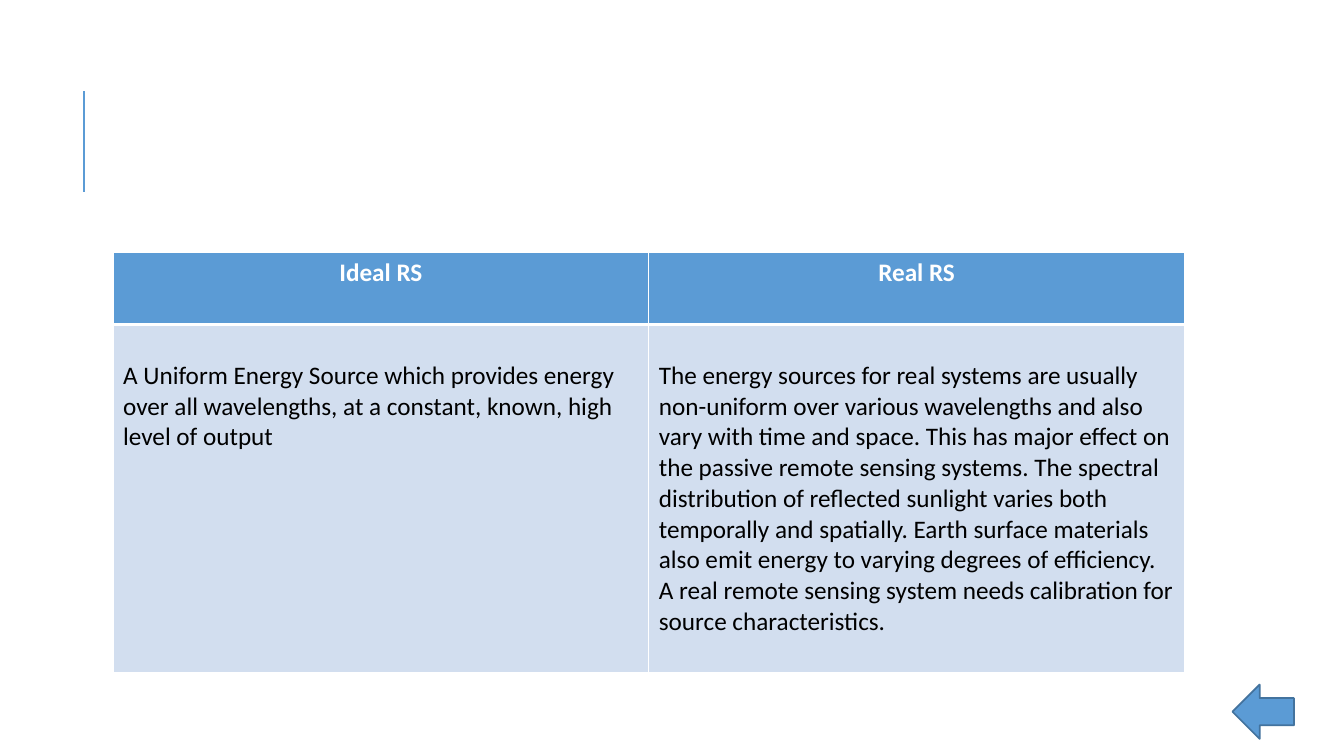
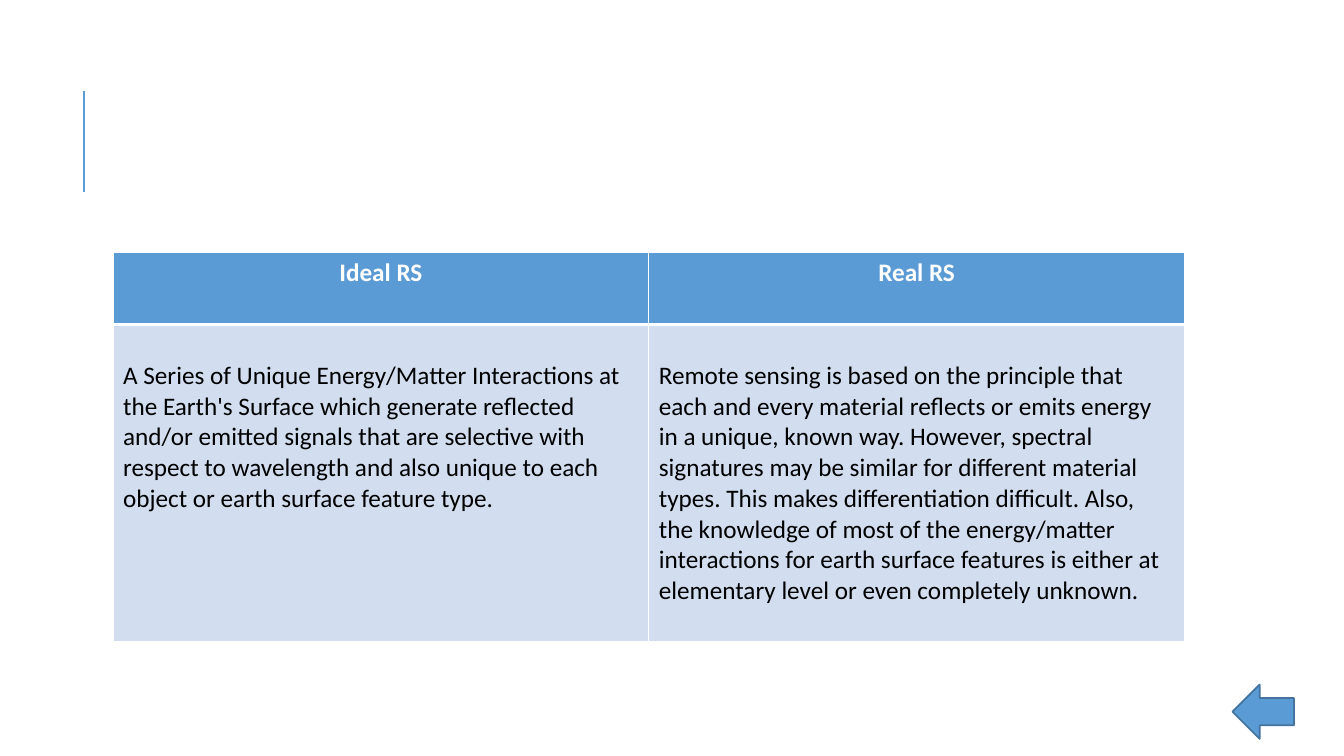
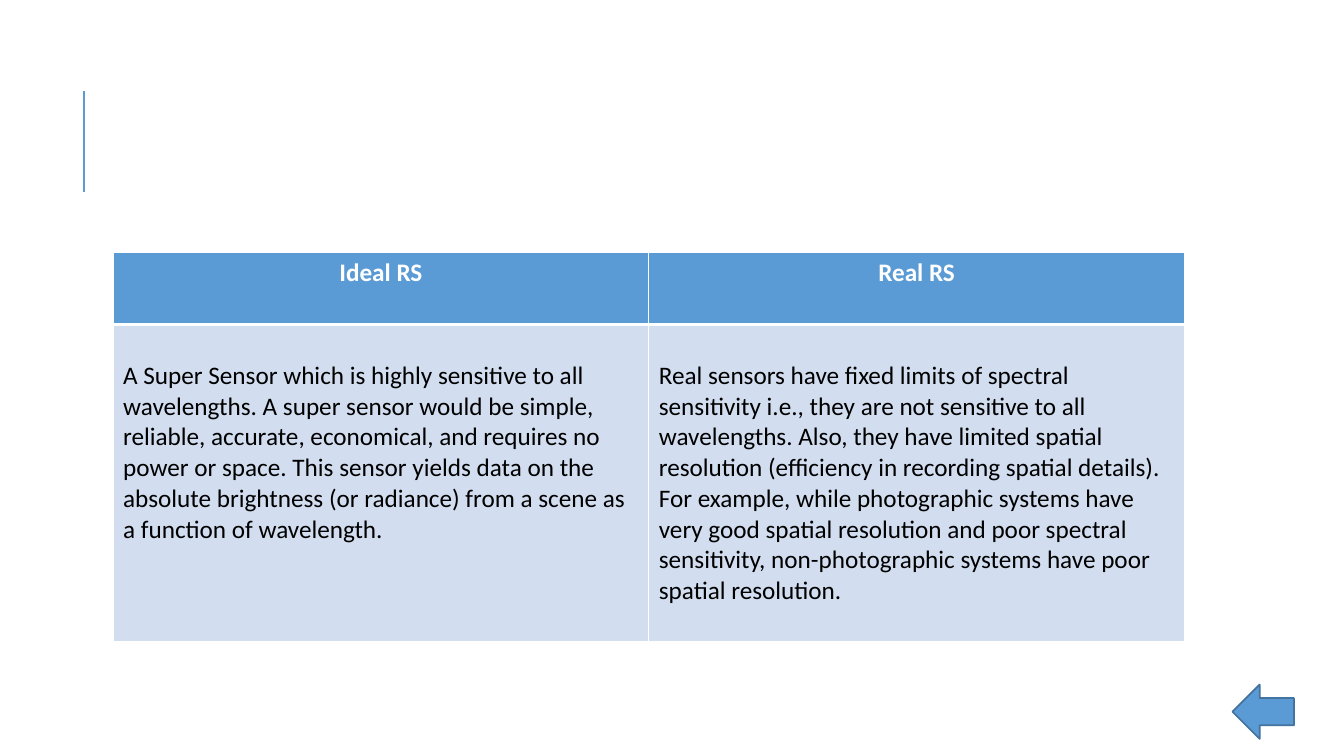
"""Build three slides comparing ideal and real remote sensing systems."""
from lxml.etree import SubElement
from pptx import Presentation
from pptx.dml.color import RGBColor
from pptx.enum.shapes import MSO_CONNECTOR, MSO_SHAPE
from pptx.enum.text import PP_ALIGN
from pptx.oxml.ns import qn
from pptx.util import Cm, Pt

COLORS = {
    "accent": "5B9BD5",
    "outline": "43739E",
    "band": "D2DEEF",
    "white": "FFFFFF",
    "black": "000000",
}
HEADINGS = ("Ideal RS", "Real RS")
COLUMN_WIDTH = Cm(13.5)
HEADER_HEIGHT = Cm(1.83)
ROW_STYLES = (
    {
        "fill": "accent",
        "align": PP_ALIGN.CENTER,
        "margin_top": Cm(0.13),
        "font": {"name": "Calibri", "size": Pt(18), "bold": True},
        "color": "white",
        "borders": {"a:lnL": 1, "a:lnR": 1, "a:lnT": 1, "a:lnB": 3},
    },
    {
        "fill": "band",
        "align": PP_ALIGN.LEFT,
        "margin_top": Cm(0.9),
        "font": {"name": "Calibri", "size": Pt(18), "bold": False},
        "color": "black",
        "borders": {"a:lnL": 1, "a:lnR": 1, "a:lnT": 3, "a:lnB": 1},
    },
)
COMPARISONS = (
    (
        Cm(8.76),
        "A Uniform Energy Source which provides energy over all wavelengths, "
        "at a constant, known, high level of output",
        "The energy sources for real systems are usually non-uniform over "
        "various wavelengths and also vary with time and space. This has major "
        "effect on the passive remote sensing systems. The spectral "
        "distribution of reflected sunlight varies both temporally and "
        "spatially. Earth surface materials also emit energy to varying "
        "degrees of efficiency. A real remote sensing system needs calibration "
        "for source characteristics.",
    ),
    (
        Cm(7.98),
        "A Series of Unique Energy/Matter Interactions at the Earth's Surface "
        "which generate reflected and/or emitted signals that are selective "
        "with respect to wavelength and also unique to each object or earth "
        "surface feature type.",
        "Remote sensing is based on the principle that each and every material "
        "reflects or emits energy in a unique, known way. However, spectral "
        "signatures may be similar for different material types. This makes "
        "differentiation difficult. Also, the knowledge of most of the "
        "energy/matter interactions for earth surface features is either at "
        "elementary level or even completely unknown.",
    ),
    (
        Cm(7.98),
        "A Super Sensor which is highly sensitive to all wavelengths. A super "
        "sensor would be simple, reliable, accurate, economical, and requires "
        "no power or space. This sensor yields data on the absolute brightness "
        "(or radiance) from a scene as a function of wavelength.",
        "Real sensors have fixed limits of spectral sensitivity i.e., they are "
        "not sensitive to all wavelengths. Also, they have limited spatial "
        "resolution (efficiency in recording spatial details). For example, "
        "while photographic systems have very good spatial resolution and poor "
        "spectral sensitivity, non-photographic systems have poor spatial "
        "resolution.",
    ),
)


def rgb(name):
    return RGBColor.from_string(COLORS[name])


def format_cell(cell, text, style):
    properties = cell._tc.get_or_add_tcPr()
    for tag, width in style["borders"].items():
        border = SubElement(properties, qn(tag), w=str(Pt(width)))
        border_fill = SubElement(border, qn("a:solidFill"))
        SubElement(border_fill, qn("a:srgbClr"), val=COLORS["white"])
    cell.fill.solid()
    cell.fill.fore_color.rgb = rgb(style["fill"])
    cell.margin_top = style["margin_top"]
    cell.text = text
    paragraph = cell.text_frame.paragraphs[0]
    paragraph.alignment = style["align"]
    font = paragraph.runs[0].font
    for attribute, value in style["font"].items():
        setattr(font, attribute, value)
    font.color.rgb = rgb(style["color"])


presentation = Presentation()
presentation.slide_width = Cm(33.87)
presentation.slide_height = Cm(19.05)

for body_height, *descriptions in COMPARISONS:
    slide = presentation.slides.add_slide(presentation.slide_layouts[6])

    title_rule = slide.shapes.add_connector(
        MSO_CONNECTOR.STRAIGHT, Cm(2.12), Cm(4.83), Cm(2.12), Cm(2.29)
    )
    title_rule.line.color.rgb = rgb("accent")
    title_rule.line.width = Pt(1.5)
    SubElement(title_rule._element.spPr, qn("a:effectLst"))

    table = slide.shapes.add_table(
        2, 2, Cm(2.85), Cm(6.35), COLUMN_WIDTH * 2, HEADER_HEIGHT + body_height
    ).table
    for column in table.columns:
        column.width = COLUMN_WIDTH
    for row, height, texts, style in zip(
        table.rows, (HEADER_HEIGHT, body_height), (HEADINGS, descriptions), ROW_STYLES
    ):
        row.height = height
        for cell, text in zip(row.cells, texts):
            format_cell(cell, text, style)

    back_arrow = slide.shapes.add_shape(
        MSO_SHAPE.LEFT_ARROW, Cm(31.06), Cm(17.25), Cm(1.55), Cm(1.37)
    )
    back_arrow.shadow.inherit = False
    back_arrow.fill.solid()
    back_arrow.fill.fore_color.rgb = rgb("accent")
    back_arrow.line.color.rgb = rgb("outline")
    back_arrow.line.width = Pt(1.25)

presentation.save("out.pptx")
